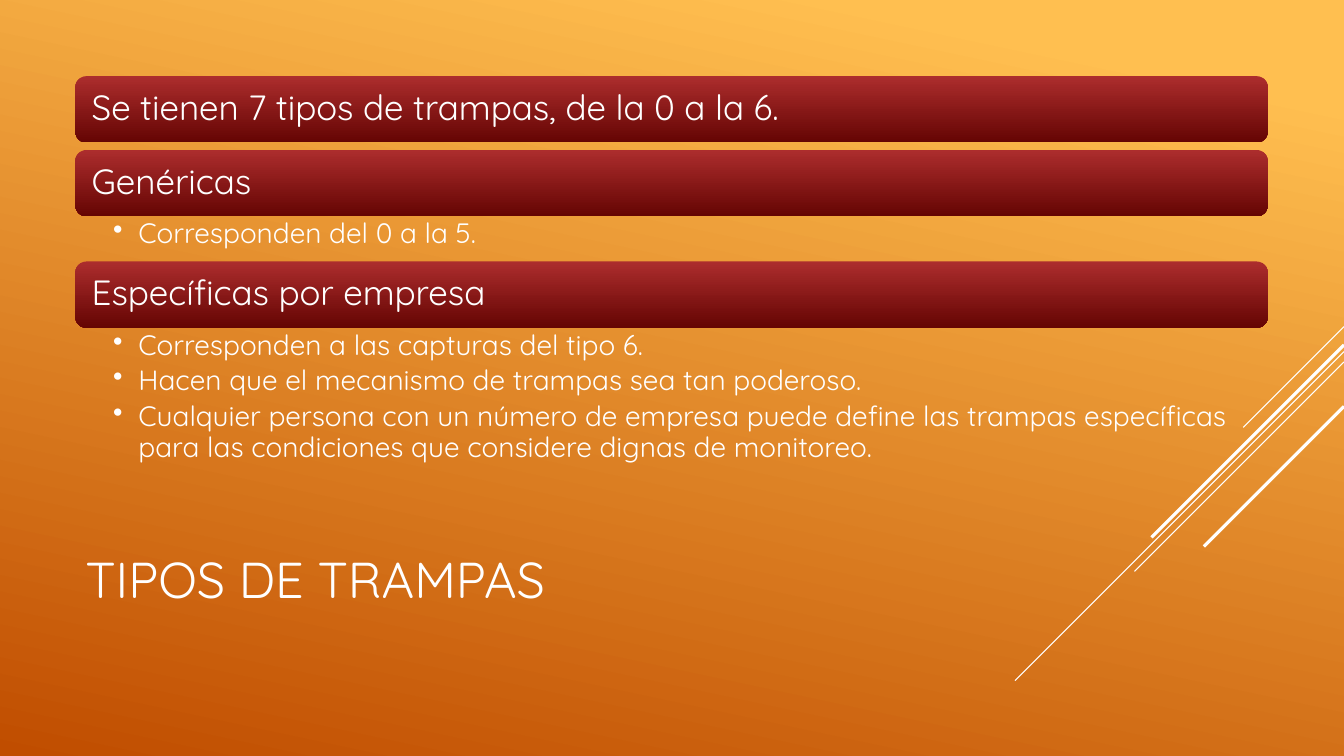
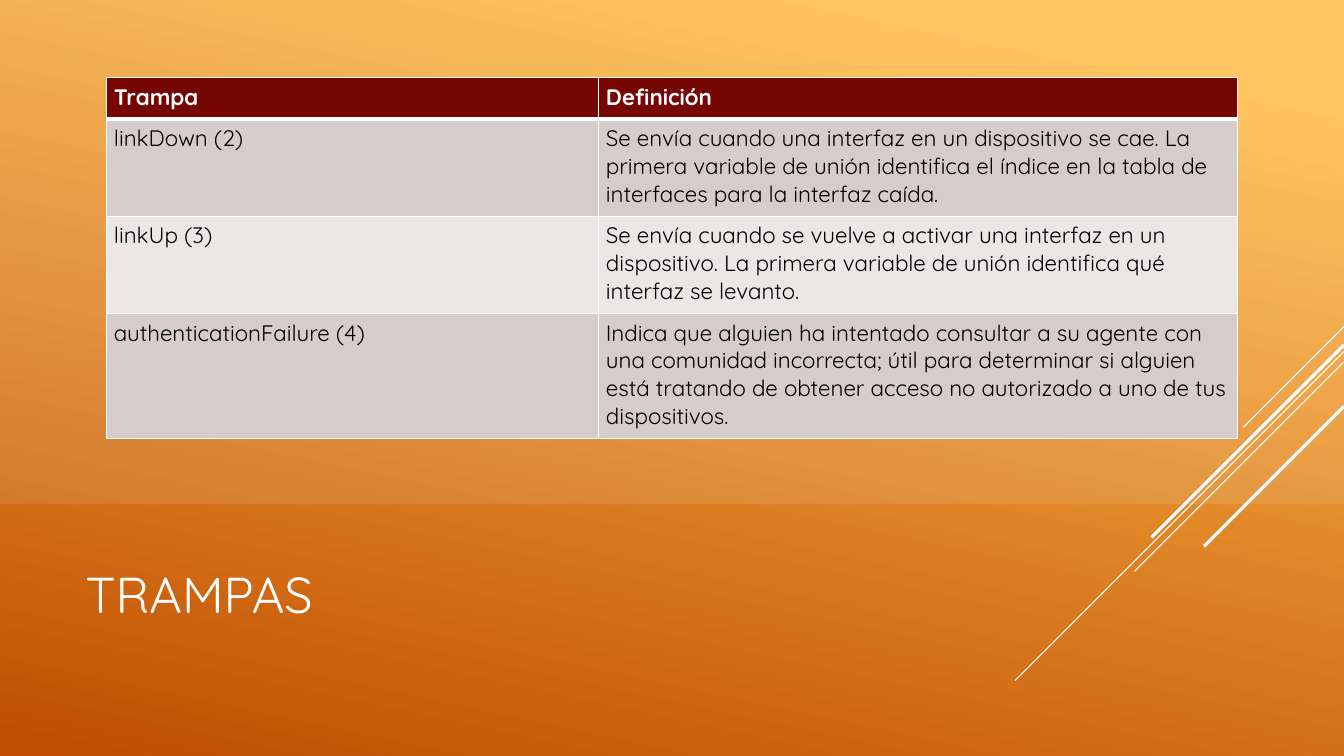
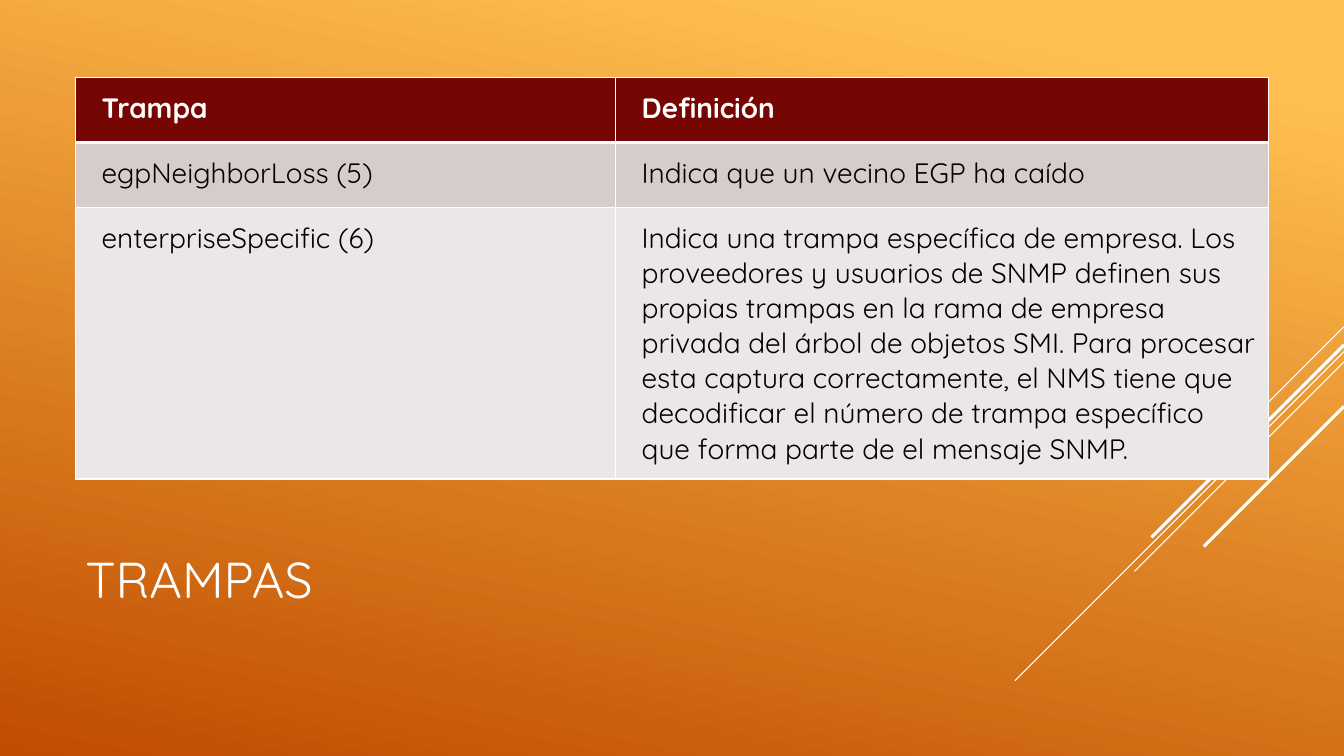
from lxml.etree import SubElement
from pptx import Presentation
from pptx.dml.color import RGBColor
from pptx.enum.shapes import MSO_CONNECTOR, MSO_SHAPE
from pptx.enum.text import MSO_ANCHOR, PP_ALIGN
from pptx.oxml import parse_xml
from pptx.oxml.ns import nsdecls, qn
from pptx.util import Cm, Pt

FONT = "Quicksand"
WHITE, BLACK = "FFFFFF", "000000"
SKY = [(0.1, "FFBF50"), (1, "C04D00")]
BAR = [(0, "AC2D2D"), (1, "650503")]
HEAD = "760603"
BANDS = ["D6CCCC", "ECE7E7"]
WIDE, TALL = 33.87, 19.05
LEFT, SPAN = 1.9, 30.05
# Top at the right edge, run of the 45 degree slope, weight
RAYS = [(8.23, 2.54, 0.75), (8.86, 8.29, 0.75), (9.12, 5.28, 0.75),
        (8.69, 4.85, 2.25), (10.24, 3.53, 2.25)]


def paint(color):
    """Turn a hex string into a colour."""
    return RGBColor.from_string(color)


def blend(fill, stops, angle):
    """Fill with two colour stops, angle measured clockwise."""
    fill.gradient()
    fill.gradient_angle = 360 - angle
    for stop, (place, color) in zip(fill.gradient_stops, stops):
        stop.position = place
        stop.color.rgb = paint(color)


def pad(box, left, top, right, bottom):
    """Set the inner margins of a frame or a cell."""
    box.margin_left, box.margin_top = Cm(left), Cm(top)
    box.margin_right, box.margin_bottom = Cm(right), Cm(bottom)


def style(para, size, color=WHITE, bold=False):
    """Format the runs of a paragraph."""
    para.alignment = PP_ALIGN.LEFT
    for run in para.runs:
        font = run.font
        font.name, font.size, font.bold = FONT, Pt(size), bold
        font.color.rgb = paint(color)


def edge(cell, top, bottom):
    """Draw white cell borders, 1 pt at the sides."""
    props = cell._tc.get_or_add_tcPr()
    sides = [("L", 1), ("R", 1), ("T", top), ("B", bottom)]
    for place, (side, width) in enumerate(sides):
        props.insert(place, parse_xml(
            f'<a:ln{side} {nsdecls("a")} w="{Pt(width)}"><a:solidFill>'
            f'<a:srgbClr val="{WHITE}"/></a:solidFill></a:ln{side}>'))


class Deck:
    """Holds the shared style and the current slide."""

    def __init__(self):
        """Open a blank wide deck."""
        self.show = Presentation()
        self.show.slide_width, self.show.slide_height = Cm(WIDE), Cm(TALL)

    def start(self):
        """Add a slide with the sky and the slanted rays."""
        slide = self.show.slides.add_slide(self.show.slide_layouts[6])
        self.shapes = slide.shapes
        blend(slide.background.fill, SKY, 102)
        for top, run, width in RAYS:
            self.ray(top, run, width)

    def ray(self, top, run, width):
        """Draw a line from the right edge, down to the left."""
        line = self.shapes.add_connector(
            MSO_CONNECTOR.STRAIGHT, Cm(WIDE), Cm(top),
            Cm(WIDE - run), Cm(top + run))
        line.line.color.rgb = paint(WHITE)
        line.line.width = Pt(width)
        SubElement(line._element.spPr, qn("a:effectLst"))

    def frame(self, left, top, width, height):
        """Add a text box that wraps."""
        box = self.shapes.add_textbox(Cm(left), Cm(top), Cm(width), Cm(height))
        box.text_frame.word_wrap = True
        return box.text_frame

    def title(self, text, top=12.47, width=23.7, height=4.19):
        """Write the slide title."""
        frame = self.frame(LEFT, top, width, height)
        frame.vertical_anchor = MSO_ANCHOR.MIDDLE
        frame.text = text
        style(frame.paragraphs[0], 36)

    def shape(self, kind, left, top, width, height):
        """Add a preset shape with no line or shadow."""
        shape = self.shapes.add_shape(
            kind, Cm(left), Cm(top), Cm(width), Cm(height))
        shape.shadow.inherit = False
        shape.line.fill.background()
        return shape

    def bar(self, text, top, height):
        """Add a red bar with a heading."""
        bar = self.shape(MSO_SHAPE.ROUNDED_RECTANGLE, LEFT, top, SPAN, height)
        blend(bar.fill, BAR, 90)
        frame = bar.text_frame
        frame.word_wrap = True
        frame.vertical_anchor = MSO_ANCHOR.MIDDLE
        pad(frame, 0.33, 0.25, 0.33, 0.25)
        frame.text = text
        frame.paragraphs[0].line_spacing = 0.9
        style(frame.paragraphs[0], 25)

    def points(self, texts, top, height):
        """Add a list with bullets."""
        frame = self.frame(LEFT, top, SPAN, height)
        pad(frame, 0.95, 0.08, 0.48, 0.08)
        frame.text = "\n".join(texts)
        for para in frame.paragraphs:
            para.line_spacing, para.space_after = 0.9, Pt(4)
            style(para, 20)
            props = para._p.get_or_add_pPr()
            props.set("marL", str(Cm(0.64)))
            props.set("indent", str(-Cm(0.64)))
            SubElement(props, qn("a:buChar")).set("char", "•")

    def veil(self, height):
        """Lighten the upper part of the slide."""
        veil = self.shape(MSO_SHAPE.SNIP_2_DIAG_RECTANGLE, 0, 0, WIDE, height)
        veil.adjustments[0] = veil.adjustments[1] = 0
        veil.fill.solid()
        veil.fill.fore_color.rgb = paint(WHITE)
        tint = next(veil._element.spPr.iter(qn("a:srgbClr")))
        SubElement(tint, qn("a:alpha")).set("val", "10000")

    def table(self, left, rows, widths, heights, size, inset):
        """Add a table with a dark head and banded rows."""
        table = self.shapes.add_table(
            len(rows), len(widths), Cm(left), Cm(1.96),
            Cm(sum(widths)), Cm(sum(heights))).table
        for col, width in zip(table.columns, widths):
            col.width = Cm(width)
        for r, (texts, height) in enumerate(zip(rows, heights)):
            table.rows[r].height = Cm(height)
            head = r == 0
            for cell, text in zip(table.rows[r].cells, texts):
                pad(cell, *inset)
                cell.text = text
                style(cell.text_frame.paragraphs[0], size,
                      WHITE if head else BLACK, head)
                cell.fill.solid()
                cell.fill.fore_color.rgb = paint(
                    HEAD if head else BANDS[(r - 1) % 2])
                edge(cell, 3 if r == 1 else 1, 3 if head else 1)


def kinds(deck):
    """Build the slide on the kinds of traps."""
    deck.start()
    deck.title("TIPOS DE TRAMPAS")
    # Heading, its points, space below the bar
    groups = [
        ("Se tienen 7 tipos de trampas, de la 0 a la 6.", [], 0.19),
        ("Genéricas", ["Corresponden del 0 a la 5."], 1.14),
        ("Específicas por empresa", [
            "Corresponden a las capturas del tipo 6.",
            "Hacen que el mecanismo de trampas sea tan poderoso.",
            "Cualquier persona con un número de empresa puede define las "
            "trampas específicas para las condiciones que considere dignas "
            "de monitoreo."], 3.66),
    ]
    top, height = 1.92, 1.67
    for text, points, space in groups:
        deck.bar(text, top, height)
        top += height
        if points:
            deck.points(points, top, space)
        top += space


NAMES = ("Trampa", "Definición")


def links(deck):
    """Build the slide on traps 2 to 4."""
    deck.start()
    deck.title("TRAMPAS", 13.34, 25.76, 3.2)
    deck.veil(12.7)
    rows = [
        NAMES,
        ("linkDown (2)",
         "Se envía cuando una interfaz en un dispositivo se cae. La primera "
         "variable de unión identifica el índice en la tabla de interfaces "
         "para la interfaz caída."),
        ("linkUp (3)",
         "Se envía cuando se vuelve a activar una interfaz en un "
         "dispositivo. La primera variable de unión identifica qué interfaz "
         "se levanto."),
        ("authenticationFailure (4)",
         "Indica que alguien ha intentado consultar a su agente con una "
         "comunidad incorrecta; útil para determinar si alguien está "
         "tratando de obtener acceso no autorizado a uno de tus "
         "dispositivos."),
    ]
    deck.table(2.69, rows, [12.4, 16.1], [1.04, 2.45, 2.45, 3.15], 16,
               (0.18, 0.13, 0.18, 0.13))


def firms(deck):
    """Build the slide on traps 5 and 6."""
    deck.start()
    deck.title("TRAMPAS")
    rows = [
        NAMES,
        ("egpNeighborLoss (5)", "Indica que un vecino EGP ha caído"),
        ("enterpriseSpecific (6)",
         "Indica una trampa específica de empresa. Los proveedores y "
         "usuarios de SNMP definen sus propias trampas en la rama de empresa "
         "privada del árbol de objetos SMI. Para procesar esta captura "
         "correctamente, el NMS tiene que decodificar el número de trampa "
         "específico que forma parte de el mensaje SNMP."),
    ]
    deck.table(LEFT, rows, [13.61, 16.46], [1.63, 1.63, 6.85], 20,
               (0.66, 0.33, 0.28, 0.33))


deck = Deck()
for build in (kinds, links, firms):
    build(deck)
deck.show.save("out.pptx")
